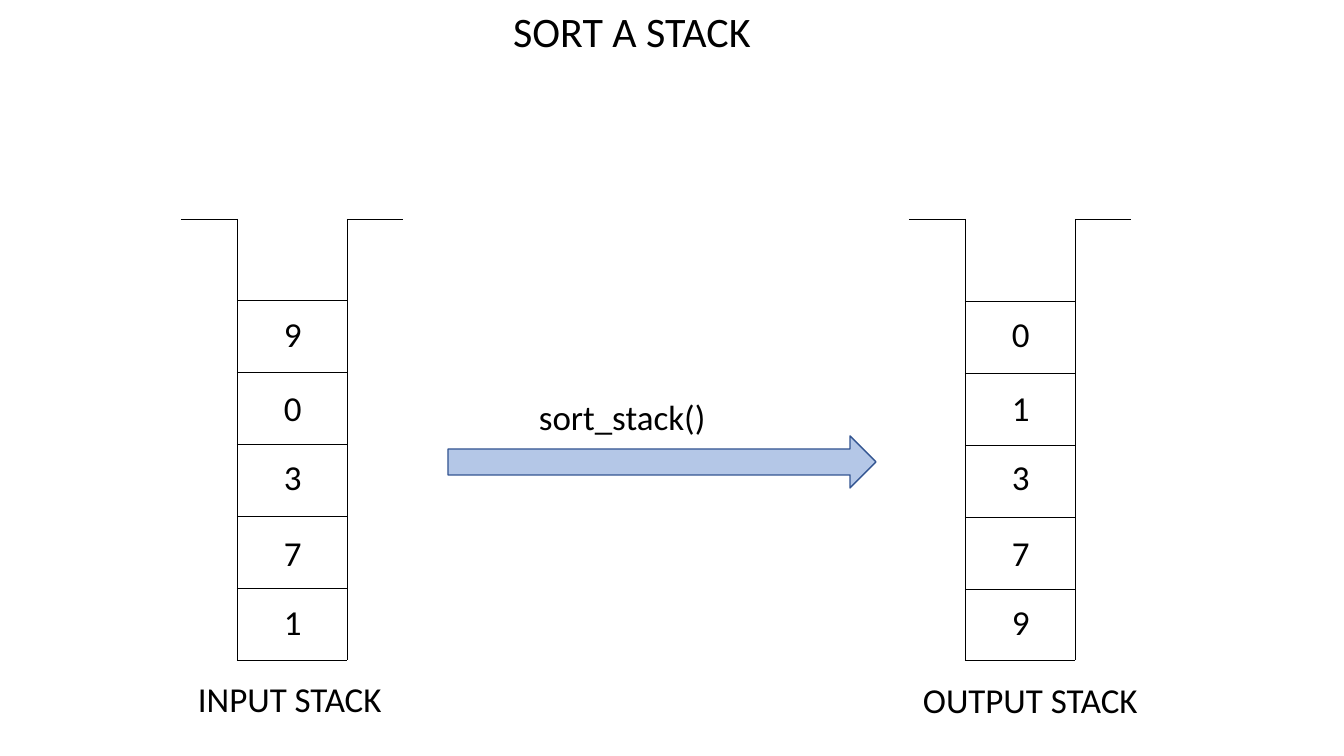
from dataclasses import dataclass

from lxml import etree
from pptx import Presentation, util as u
from pptx.dml.color import RGBColor
from pptx.enum import shapes, text
from pptx.oxml import ns
from pptx.shapes.base import BaseShape
from pptx.slide import Slide

EMU_PER_PIXEL = 914400 / 100.8
BLACK = RGBColor(0x00, 0x00, 0x00)
ARROW_FILL = RGBColor(0xB4, 0xC7, 0xE7)
ARROW_EDGE = RGBColor(0x32, 0x54, 0x91)
FONT = "Calibri"

RIM, FLOOR = 219, 660
WALL_GAP, LIP = 110, 56
CELL_HEIGHT = 72
DIGIT_TOPS = (308, 382, 451, 527, 596)
DIGIT_INDENT, DIGIT_WIDTH = 37, 48
TEXT_HEIGHT = 52


@dataclass(frozen=True)
class Box:
    left: int
    top: int
    width: int
    height: int = TEXT_HEIGHT


@dataclass(frozen=True)
class Stack:
    label: str
    label_box: Box
    wall: int
    divider_shift: int
    values: tuple[int, ...]


STACKS = (
    Stack("INPUT STACK", Box(188, 673, 211), 237, 0, (9, 0, 3, 7, 1)),
    Stack("OUTPUT STACK", Box(913, 674, 242), 965, 1, (0, 1, 3, 7, 9)),
)


def px(pixels: int) -> u.Emu:
    return u.Emu(round(pixels * EMU_PER_PIXEL))


def emu(box: Box) -> tuple[u.Emu, ...]:
    return px(box.left), px(box.top), px(box.width), px(box.height)


def write(holder: BaseShape, words: str, size: int) -> None:
    frame = holder.text_frame
    frame.word_wrap = True
    frame.auto_size = text.MSO_AUTO_SIZE.NONE
    frame.vertical_anchor = text.MSO_ANCHOR.TOP
    paragraph = frame.paragraphs[0]
    paragraph.alignment = text.PP_ALIGN.LEFT
    run = paragraph.add_run()
    run.text = words
    run.font.name = FONT
    run.font.size = u.Pt(size)
    run.font.color.rgb = BLACK


def add_text(slide: Slide, words: str, box: Box) -> None:
    write(slide.shapes.add_textbox(*emu(box)), words, 25)


def add_line(slide: Slide, x1: int, y1: int, x2: int, y2: int) -> None:
    line = slide.shapes.add_connector(
        shapes.MSO_CONNECTOR.STRAIGHT, px(x1), px(y1), px(x2), px(y2))
    line.line.color.rgb = BLACK
    line.line.width = u.Pt(0.5)
    etree.SubElement(line._element.spPr, ns.qn("a:effectLst"))


def add_stack(slide: Slide, stack: Stack) -> None:
    left, right = stack.wall, stack.wall + WALL_GAP
    add_line(slide, left - LIP, RIM, left, RIM)
    add_line(slide, right, RIM, right + LIP, RIM)
    for wall in (left, right):
        add_line(slide, wall, RIM, wall, FLOOR)
    add_line(slide, left, FLOOR, right, FLOOR)
    for level in range(1, len(stack.values) + 1):
        divider = FLOOR - level * CELL_HEIGHT + stack.divider_shift
        add_line(slide, left, divider, right, divider)
    for value, top in zip(stack.values, DIGIT_TOPS):
        add_text(slide, str(value), Box(left + DIGIT_INDENT, top, DIGIT_WIDTH))
    add_text(slide, stack.label, stack.label_box)


def add_sort_step(slide: Slide) -> None:
    arrow = slide.shapes.add_shape(
        shapes.MSO_SHAPE.RIGHT_ARROW, *emu(Box(448, 436, 428)))
    arrow.shadow.inherit = False
    arrow.fill.solid()
    arrow.fill.fore_color.rgb = ARROW_FILL
    arrow.line.color.rgb = ARROW_EDGE
    arrow.line.width = u.Pt(1)
    add_text(slide, "sort_stack()", Box(529, 391, 285))


def main() -> None:
    deck = Presentation()
    deck.slide_width, deck.slide_height = px(1344), px(756)
    slide = deck.slides.add_slide(deck.slide_layouts.get_by_name("Title Only"))
    title = slide.shapes.title
    title.left, title.top, title.width, title.height = emu(Box(503, 0, 338, 61))
    write(title, "SORT A STACK", 30)
    for stack in STACKS:
        add_stack(slide, stack)
    add_sort_step(slide)
    deck.save("out.pptx")


main()
